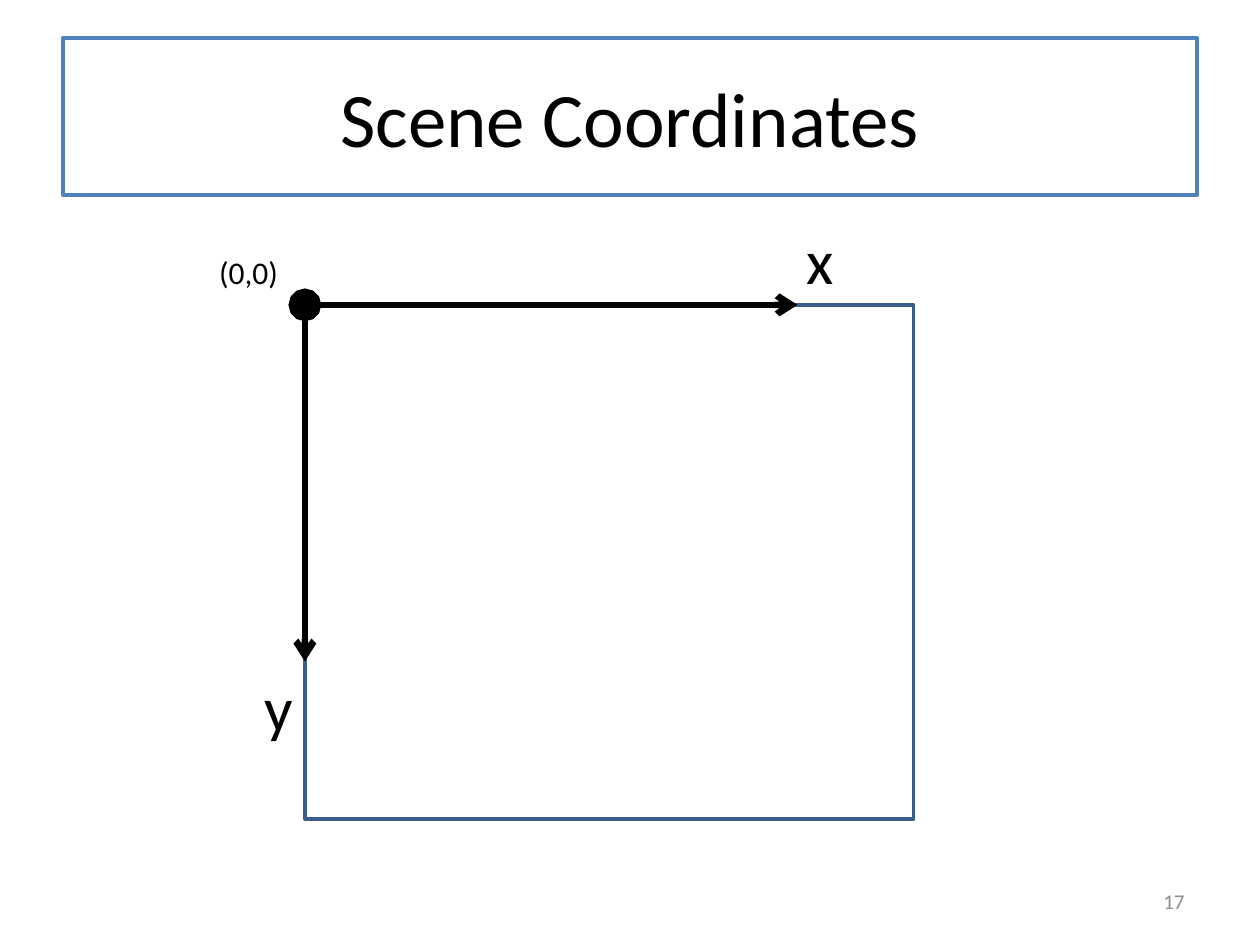
from dataclasses import dataclass

from lxml import etree
from pptx import Presentation
from pptx import util as u
from pptx.dml.color import RGBColor
from pptx.enum import shapes, text
from pptx.oxml.ns import qn


@dataclass(frozen=True)
class Theme:
    font: str = "Calibri"
    white: str = "FFFFFF"
    ink: str = "000000"
    muted: str = "8C8C8C"
    title_line: str = "4F81BD"
    scene_line: str = "3A5F8C"
    title_size: int = 44
    axis_size: int = 36
    origin_size: int = 18
    number_size: int = 12


THEME = Theme()
ORIGIN_X = ORIGIN_Y = 2.42


def write(sp, words, size, color=THEME.ink, align=text.PP_ALIGN.LEFT,
          anchor=text.MSO_ANCHOR.TOP, wrap=True):
    tf = sp.text_frame
    tf.word_wrap = wrap
    tf.vertical_anchor = anchor
    p = tf.paragraphs[0]
    p.alignment = align
    r = p.add_run()
    r.text = words
    r.font.name = THEME.font
    r.font.size = u.Pt(size)
    r.font.color.rgb = RGBColor.from_string(color)


def add_box(s, x, y, w, h, line, width):
    sp = s.shapes.add_shape(shapes.MSO_SHAPE.RECTANGLE,
                            u.Inches(x), u.Inches(y), u.Inches(w), u.Inches(h))
    sp.shadow.inherit = False
    sp.fill.solid()
    sp.fill.fore_color.rgb = RGBColor.from_string(THEME.white)
    sp.line.color.rgb = RGBColor.from_string(line)
    sp.line.width = u.Pt(width)
    return sp


def add_text(s, words, x, y, w, h, size, **style):
    sp = s.shapes.add_textbox(u.Inches(x), u.Inches(y), u.Inches(w), u.Inches(h))
    write(sp, words, size, **style)
    return sp


def add_label(s, words, x, y, w, h, size):
    sp = add_text(s, words, x, y, w, h, size, wrap=False)
    sp.text_frame.auto_size = text.MSO_AUTO_SIZE.SHAPE_TO_FIT_TEXT


def add_axis(s, end_x, end_y):
    axis = s.shapes.add_connector(shapes.MSO_CONNECTOR.STRAIGHT,
                                  u.Inches(ORIGIN_X), u.Inches(ORIGIN_Y),
                                  u.Inches(end_x), u.Inches(end_y))
    axis.line.color.rgb = RGBColor.from_string(THEME.ink)
    axis.line.width = u.Pt(3.75)
    # Large dot at the origin, open arrow at the far end
    ln = axis.line._get_or_add_ln()
    for tag, kind, size in (("a:headEnd", "oval", "lg"), ("a:tailEnd", "arrow", "med")):
        etree.SubElement(ln, qn(tag), type=kind, w=size, len=size)
    etree.SubElement(axis._element.spPr, qn("a:effectLst"))


def main():
    prs = Presentation()
    prs.slide_width, prs.slide_height = u.Inches(10), u.Inches(7.5)
    s = prs.slides.add_slide(prs.slide_layouts[6])

    # Title and slide number
    title = add_box(s, 0.5, 0.3, 9, 1.25, THEME.title_line, 2.25)
    write(title, "Scene Coordinates", THEME.title_size,
          align=text.PP_ALIGN.CENTER, anchor=text.MSO_ANCHOR.MIDDLE)
    add_text(s, "17", 7.17, 6.95, 2.33, 0.4, THEME.number_size, color=THEME.muted,
             align=text.PP_ALIGN.RIGHT, anchor=text.MSO_ANCHOR.MIDDLE)

    # Scene with its origin at the top left corner
    add_box(s, ORIGIN_X, ORIGIN_Y, 4.83, 4.08, THEME.scene_line, 2)
    add_label(s, "(0,0)", 1.64, 1.96, 0.68, 0.4, THEME.origin_size)

    # Axes and their names
    add_axis(s, 6.33, ORIGIN_Y)
    add_axis(s, ORIGIN_X, 5.25)
    add_label(s, "x", 6.3, 1.71, 0.42, 0.71, THEME.axis_size)
    add_label(s, "y", 2, 5.26, 0.43, 0.71, THEME.axis_size)

    prs.save("out.pptx")


if __name__ == "__main__":
    main()
